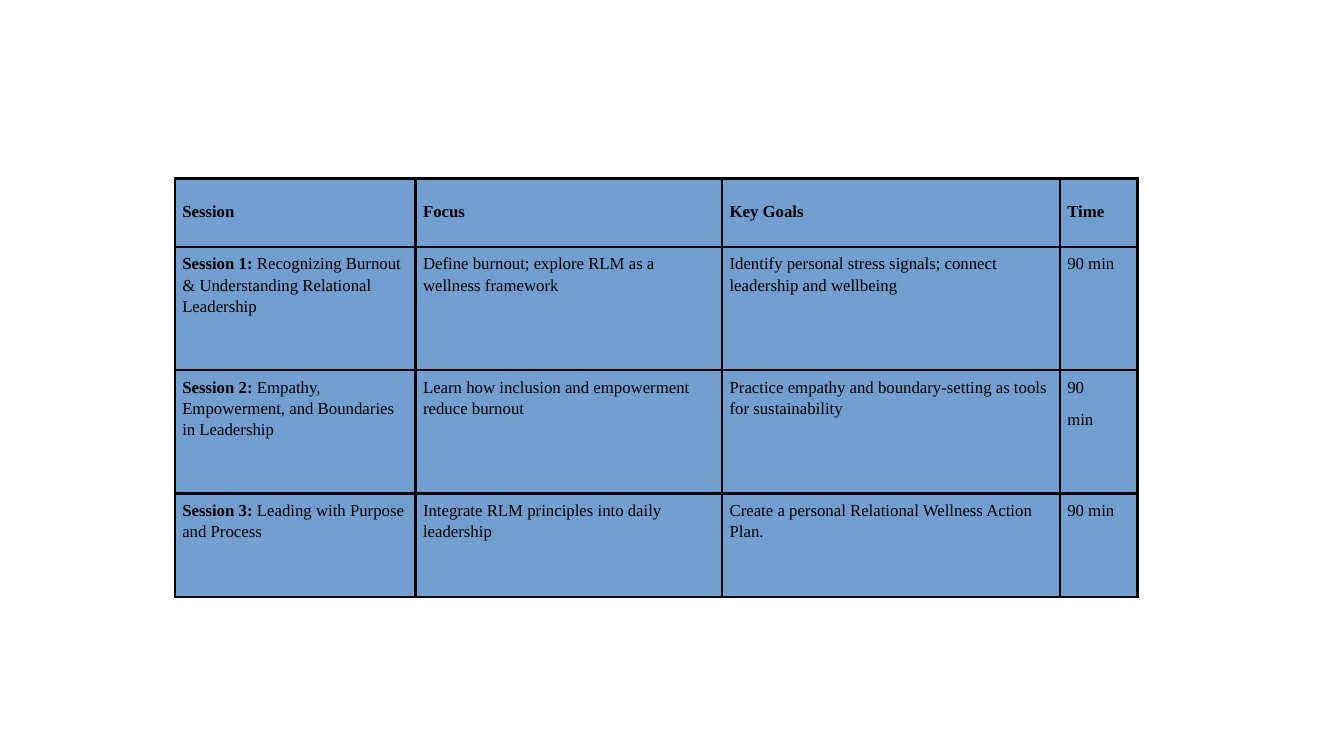
from dataclasses import dataclass
from lxml.etree import SubElement as Sub
from pptx import Presentation
from pptx.dml.color import RGBColor as RGB
from pptx.enum.text import PP_ALIGN as Align
from pptx.oxml.ns import qn
from pptx.util import Pt


@dataclass(frozen=True)
class Theme:
    font: str = "Times New Roman"
    size: float = 12
    ink: str = "000000"
    fill: str = "729FCF"
    rule: float = 2
    pad_x: float = 5.4
    pad_y: float = 3.6
    after: float = 8


def write(par, text, theme, bold=False):
    """Add one run of text to a paragraph."""
    run = par.add_run()
    run.text = text
    font = run.font
    font.name, font.size, font.bold = theme.font, Pt(theme.size), bold
    font.color.rgb = RGB.from_string(theme.ink)


class Page:
    def __init__(self, slide, theme):
        self.slide, self.theme = slide, theme

    def table(self, left, top, cols, rows, data):
        frame = self.slide.shapes.add_table(
            len(rows), len(cols), Pt(left), Pt(top), Pt(sum(cols)), Pt(sum(rows)))
        grid = frame.table
        grid.first_row = grid.horz_banding = False
        for col, width in zip(grid.columns, cols):
            col.width = Pt(width)
        for row, height in zip(grid.rows, rows):
            row.height = Pt(height)
        for i, line in enumerate(data):
            for j, text in enumerate(line):
                self.cell(grid.cell(i, j), text, head=i == 0)

    def cell(self, cell, text, head):
        theme = self.theme
        cell.margin_left = cell.margin_right = Pt(theme.pad_x)
        cell.margin_top = cell.margin_bottom = Pt(theme.pad_y)
        self.border(cell)
        cell.fill.solid()
        cell.fill.fore_color.rgb = RGB.from_string(theme.fill)
        # Each line is a paragraph; a label before "|" is bold
        frame = cell.text_frame
        for n, part in enumerate(text.split("\n")):
            par = frame.add_paragraph() if n else frame.paragraphs[0]
            par.line_spacing = 2.0 if head else 1.15
            par.space_after = Pt(theme.after)
            par.alignment = Align.JUSTIFY if head else Align.LEFT
            label, bar, body = part.rpartition("|")
            if bar:
                write(par, label, theme, bold=True)
            write(par, body, theme, bold=head)

    def border(self, cell):
        props = cell._tc.get_or_add_tcPr()
        for side in ("a:lnL", "a:lnR", "a:lnT", "a:lnB"):
            line = Sub(props, qn(side), w=str(Pt(self.theme.rule)))
            fill = Sub(line, qn("a:solidFill"))
            Sub(fill, qn("a:srgbClr"), val=self.theme.ink)


SESSIONS = [
    ("Session", "Focus", "Key Goals", "Time"),
    ("Session 1:| Recognizing Burnout & Understanding Relational Leadership",
     "Define burnout; explore RLM as a wellness framework",
     "Identify personal stress signals; connect leadership and wellbeing",
     "90 min"),
    ("Session 2:| Empathy, Empowerment, and Boundaries in Leadership",
     "Learn how inclusion and empowerment reduce burnout",
     "Practice empathy and boundary-setting as tools for sustainability",
     "90\nmin"),
    ("Session 3:| Leading with Purpose and Process",
     "Integrate RLM principles into daily leadership",
     "Create a personal Relational Wellness Action Plan.",
     "90 min"),
]


def main():
    deck = Presentation()
    deck.slide_width, deck.slide_height = Pt(960), Pt(540)
    page = Page(deck.slides.add_slide(deck.slide_layouts[6]), Theme())
    # Session plan
    page.table(124.8, 127.5, cols=(172, 219, 241.2, 55.6),
               rows=(49, 88, 88, 74), data=SESSIONS)
    deck.save("out.pptx")


if __name__ == "__main__":
    main()
